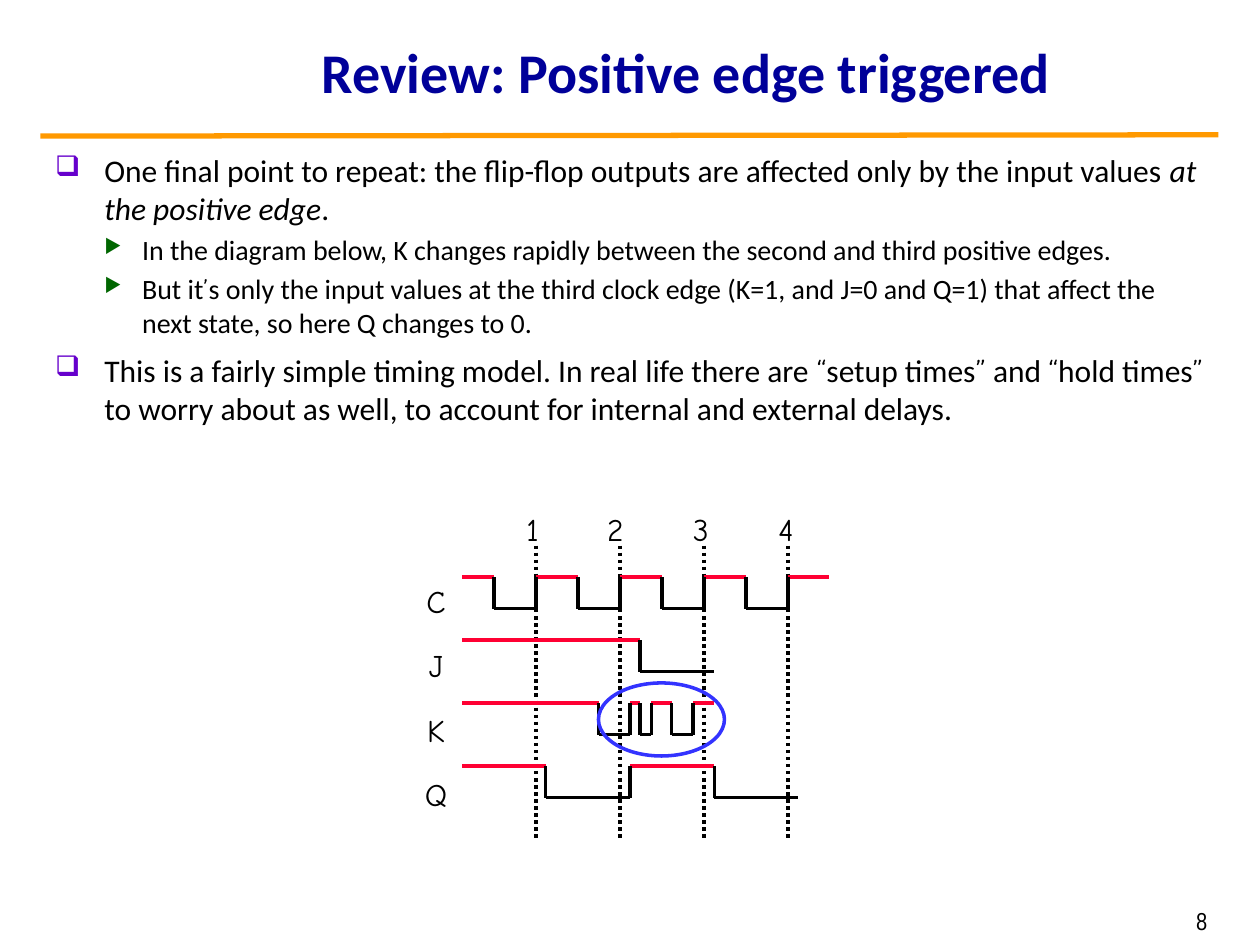
from dataclasses import dataclass

import pptx
import pptx.dml.color
import pptx.enum.dml
import pptx.enum.shapes
import pptx.enum.text
import pptx.oxml
import pptx.oxml.ns
import pptx.util
from pptx.dml.color import RGBColor
from pptx.util import Inches

BLACK = RGBColor(0x00, 0x00, 0x00)
NAVY = RGBColor(0x00, 0x00, 0x99)
ORANGE = RGBColor(0xFF, 0x99, 0x00)
PURPLE = RGBColor(0x66, 0x00, 0xCC)
GREEN = RGBColor(0x00, 0x66, 0x00)
RED = RGBColor(0xFF, 0x00, 0x33)
BLUE = RGBColor(0x33, 0x33, 0xFF)

BODY_FONT = "Calibri"
HAND_FONT = "Comic Neue"
ALIGN = pptx.enum.text.PP_ALIGN

WAVE_LEFT = 3.67
WAVE_HEIGHT = 0.25
CLOCK_EDGES = [3.92 + step / 3 for step in range(8)]
RISING_EDGES = CLOCK_EDGES[1::2]


@dataclass(frozen=True)
class Span:
    text: str
    font: str = BODY_FONT
    italic: bool = False


@dataclass(frozen=True)
class Level:
    size: int
    space_before: float
    indent: float
    hanging: float
    bullet: str
    bullet_color: RGBColor
    bullet_percent: int


@dataclass(frozen=True)
class Signal:
    """A wave that starts high and toggles at every edge."""
    name: str
    top: float
    edges: list[float]
    end: float


MAIN = Level(18, 7.2, 0.39, 0.39, "❑", PURPLE, 90)
SUB = Level(16, 3.2, 0.69, 0.3, "▶", GREEN, 70)
OPEN_QUOTE, CLOSE_QUOTE = Span("“", HAND_FONT), Span("”", HAND_FONT)

BODY = [
    (MAIN, [
        Span("One final point to repeat: the flip-flop outputs are affected only by the input values "),
        Span("at the positive edge", italic=True),
        Span("."),
    ]),
    (SUB, [Span("In the diagram below, K changes rapidly between the second and third positive edges.")]),
    (SUB, [
        Span("But it"),
        Span("’", HAND_FONT),
        Span("s only the input values at the third clock edge (K=1, and J=0 and Q=1) "
             "that affect the next state, so here Q changes to 0."),
    ]),
    (MAIN, [
        Span("This is a fairly simple timing model. In real life there are "),
        OPEN_QUOTE, Span("setup times"), CLOSE_QUOTE,
        Span(" and "),
        OPEN_QUOTE, Span("hold times"), CLOSE_QUOTE,
        Span(" to worry about as well, to account for internal and external delays."),
    ]),
]

SIGNALS = [
    Signal("C", 4.58, CLOCK_EDGES, 6.58),
    Signal("J", 5.08, [5.08], 5.67),
    Signal("K", 5.58, [4.75, 5, 5.08, 5.17, 5.33, 5.5], 5.67),
    Signal("Q", 6.08, [4.33, 5, 5.67], 6.33),
]


def add_box(shapes, left: float, top: float, width: float, height: float, wrap: bool = True):
    box = shapes.add_textbox(Inches(left), Inches(top), Inches(width), Inches(height))
    box.text_frame.word_wrap = wrap
    return box.text_frame


def add_span(para, span: Span, size: int, color: RGBColor = BLACK, bold: bool = False) -> None:
    run = para.add_run()
    run.text = span.text
    run.font.name = span.font
    run.font.size = pptx.util.Pt(size)
    run.font.color.rgb = color
    run.font.bold = bold
    run.font.italic = span.italic


def add_line(shapes, start: tuple[float, float], end: tuple[float, float],
             color: RGBColor = BLACK, weight: float = 2):
    line = shapes.add_connector(
        pptx.enum.shapes.MSO_CONNECTOR.STRAIGHT, *map(Inches, (*start, *end)))
    line.line.color.rgb = color
    line.line.width = pptx.util.Pt(weight)
    properties = line._element.spPr
    properties.append(pptx.oxml.parse_xml(f'<a:effectLst {pptx.oxml.ns.nsdecls("a")}/>'))
    return line


def set_level(para, level: Level) -> None:
    """Apply the spacing, hanging indent and bullet of an outline level."""
    para.space_before = pptx.util.Pt(level.space_before)
    properties = para._p.get_or_add_pPr()
    properties.set("marL", str(Inches(level.indent)))
    properties.set("indent", str(-Inches(level.hanging)))
    namespace = pptx.oxml.ns.nsdecls("a")
    for markup in (
        f'<a:buClr {namespace}><a:srgbClr val="{level.bullet_color}"/></a:buClr>',
        f'<a:buSzPct {namespace} val="{level.bullet_percent * 1000}"/>',
        f'<a:buChar {namespace} char="{level.bullet}"/>',
    ):
        properties.append(pptx.oxml.parse_xml(markup))


def add_body(shapes) -> None:
    frame = add_box(shapes, 0.34, 1.15, 9.34, 5.98)
    for index, (level, spans) in enumerate(BODY):
        para = frame.add_paragraph() if index else frame.paragraphs[0]
        para.level = 0 if level is MAIN else 1
        set_level(para, level)
        for span in spans:
            add_span(para, span, level.size)


def add_signal_names(shapes) -> None:
    frame = add_box(shapes, 3.25, 4.42, 0.42, 2.08, wrap=False)
    for index, signal in enumerate(SIGNALS):
        para = frame.add_paragraph() if index else frame.paragraphs[0]
        para.alignment = ALIGN.CENTER
        para.line_spacing = 1.7 if index else 1.5
        add_span(para, Span(signal.name, HAND_FONT), 18)


def add_edge_numbers(shapes) -> None:
    para = add_box(shapes, 4.08, 4, 2.35, 0.4).paragraphs[0]
    stops = "".join(f'<a:tab pos="{Inches(pos)}" algn="l"/>' for pos in (0.64, 1.32, 2))
    para._p.get_or_add_pPr().append(
        pptx.oxml.parse_xml(f'<a:tabLst {pptx.oxml.ns.nsdecls("a")}>{stops}</a:tabLst>'))
    add_span(para, Span("1\t2\t3\t4", HAND_FONT), 18)


def add_wave(shapes, signal: Signal) -> None:
    low = signal.top + WAVE_HEIGHT
    turns = [WAVE_LEFT, *signal.edges, signal.end]
    for index, (start, end) in enumerate(zip(turns, turns[1:])):
        height, color = (low, BLACK) if index % 2 else (signal.top, RED)
        add_line(shapes, (start, height), (end, height), color)
    for edge in signal.edges:
        add_line(shapes, (edge, low), (edge, signal.top))


def add_timing_diagram(page) -> None:
    shapes = page.shapes.add_group_shape().shapes
    add_signal_names(shapes)
    for edge in RISING_EDGES:
        marker = add_line(shapes, (edge, 4.33), (edge, 6.67))
        marker.line.dash_style = pptx.enum.dml.MSO_LINE.ROUND_DOT
    add_edge_numbers(shapes)
    for signal in SIGNALS:
        add_wave(shapes, signal)
    ring = shapes.add_shape(
        pptx.enum.shapes.MSO_SHAPE.OVAL, Inches(4.75), Inches(5.42), Inches(1), Inches(0.58))
    ring.shadow.inherit = False
    ring.fill.background()
    ring.line.color.rgb = BLUE
    ring.line.width = pptx.util.Pt(2)


def main() -> None:
    deck = pptx.Presentation()
    deck.slide_width, deck.slide_height = Inches(10), Inches(7.5)
    page = deck.slides.add_slide(deck.slide_layouts[6])

    add_line(page.shapes, (0.32, 1.08), (9.67, 1.07), ORANGE, 3)
    number = add_box(page.shapes, 7.32, 7.14, 2.36, 0.31).paragraphs[0]
    number.alignment = ALIGN.RIGHT
    add_span(number, Span("8", "Arial Narrow"), 14)

    title = add_box(page.shapes, 1.22, 0.13, 8.45, 0.87)
    title.vertical_anchor = pptx.enum.text.MSO_ANCHOR.MIDDLE
    title.paragraphs[0].alignment = ALIGN.CENTER
    add_span(title.paragraphs[0], Span("Review: Positive edge triggered"), 32, NAVY, bold=True)

    add_body(page.shapes)
    add_timing_diagram(page)
    deck.save("out.pptx")


if __name__ == "__main__":
    main()
